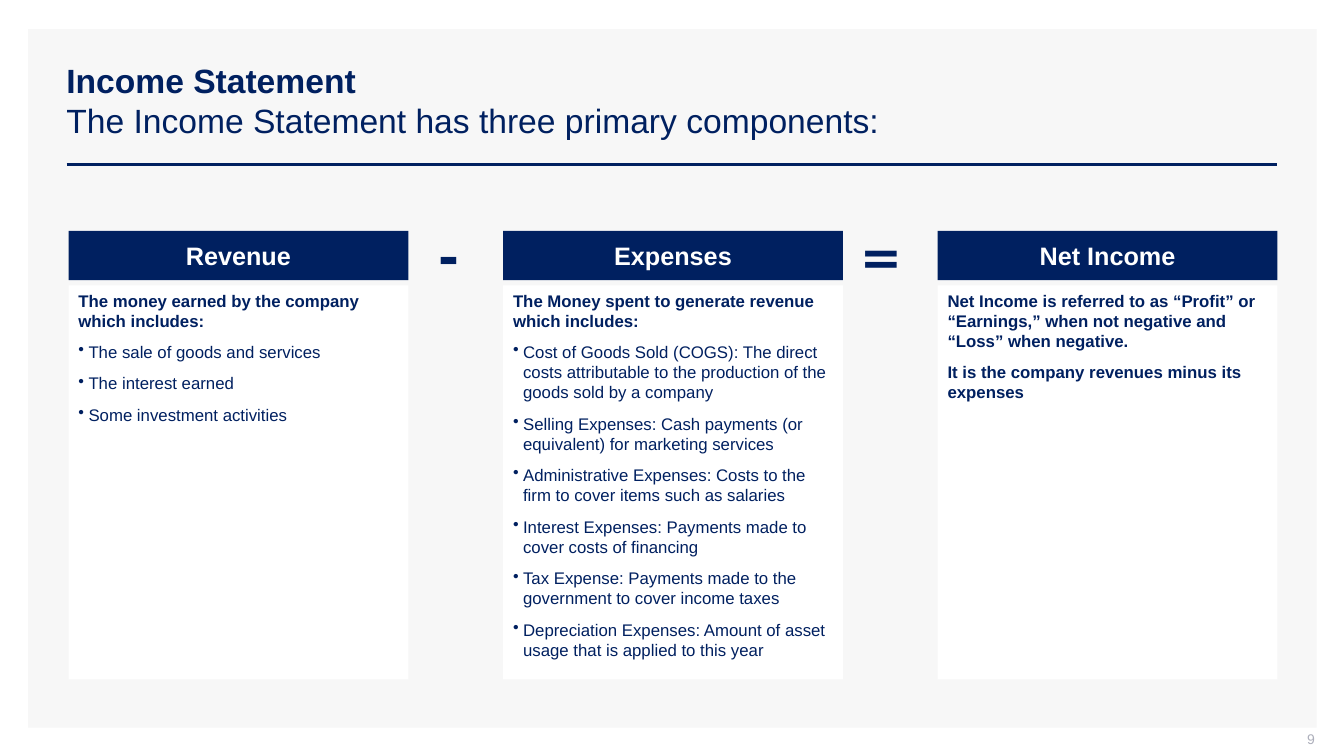
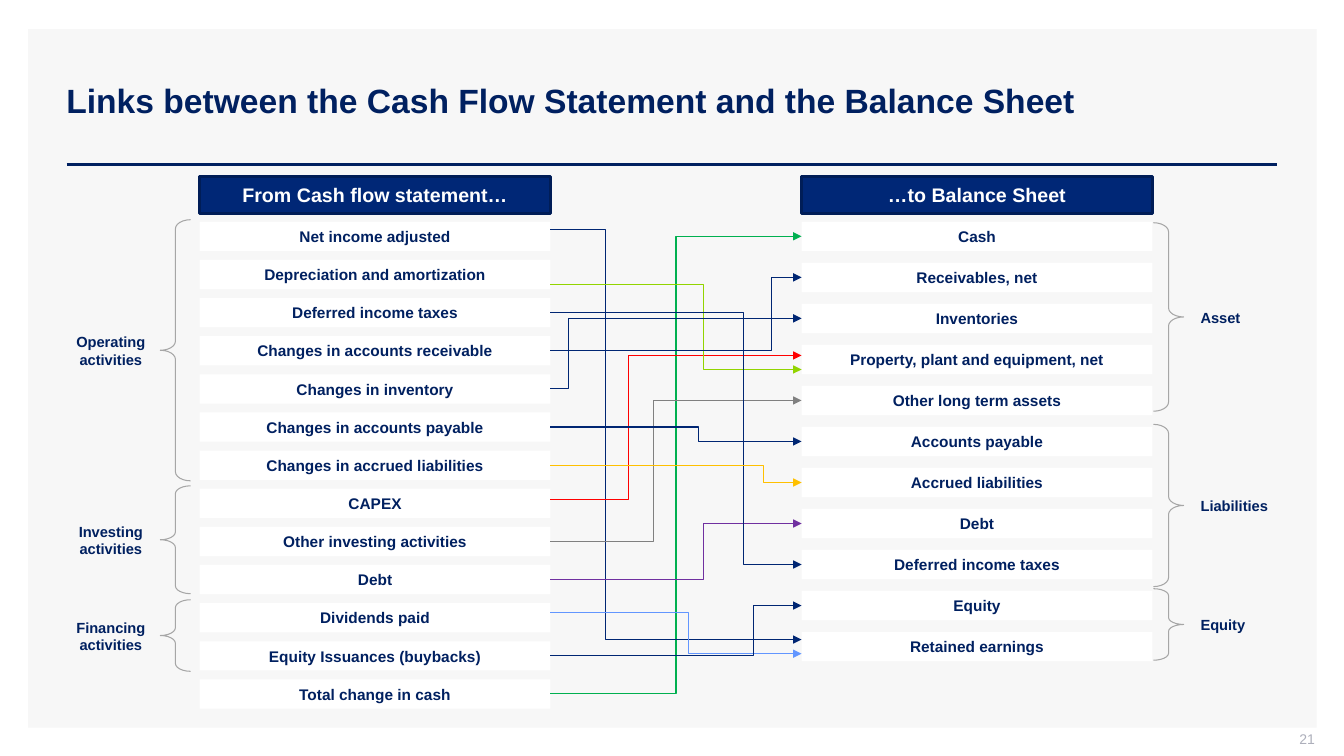
import dataclasses

import lxml.etree
import pptx
import pptx.dml.color
import pptx.enum.shapes
import pptx.enum.text
import pptx.oxml.ns
import pptx.util

RGB = pptx.dml.color.RGBColor
SHAPE = pptx.enum.shapes.MSO_SHAPE
CONNECTOR = pptx.enum.shapes.MSO_CONNECTOR
ALIGN = pptx.enum.text.PP_ALIGN
ANCHOR = pptx.enum.text.MSO_ANCHOR
qn = pptx.oxml.ns.qn

NAVY = RGB(0x00, 0x20, 0x60)
HEADING_BLUE = RGB(0x00, 0x27, 0x76)
HEADING_EDGE = RGB(0x00, 0x1D, 0x57)
LINK_BLUE = RGB(0x00, 0x26, 0x73)
SKY = RGB(0x62, 0x96, 0xFF)
GREEN = RGB(0x00, 0xB0, 0x50)
LIME = RGB(0x92, 0xD4, 0x00)
PURPLE = RGB(0x70, 0x30, 0xA0)
RED = RGB(0xFF, 0x00, 0x00)
AMBER = RGB(0xFF, 0xC0, 0x00)
GREY = RGB(0x80, 0x80, 0x80)
BRACE_GREY = RGB(0xA6, 0xA6, 0xA6)
NUMBER_GREY = RGB(0xAD, 0xAF, 0xBB)
PANEL_GREY = RGB(0xF7, 0xF7, 0xF7)
WHITE = RGB(0xFF, 0xFF, 0xFF)

FONT = "Arial"
OPERATOR_FONT = "DejaVu Sans"


@dataclasses.dataclass
class Box:
    left: float
    top: float
    width: float
    height: float

    @property
    def right(self):
        return self.left + self.width

    @property
    def middle(self):
        return self.top + self.height / 2

    def lengths(self):
        sides = (self.left, self.top, self.width, self.height)
        return [pptx.util.Inches(side) for side in sides]


PANEL = Box(0.28, 0.29, 12.78, 6.93)
TITLE = Box(0.56, 0.4, 12.11, 1.19)
RULE = Box(0.66, 1.63, 12.01, 0)
NUMBER = Box(10.04, 7.25, 3, 0.21)
COMPONENTS = Box(0.68, 2.29, 11.99, 4.45)
CASH_FLOW = Box(1.98, 1.75, 3.48, 5.28)
BALANCE = Box(7.95, 1.75, 3.48, 4.81)

COMPONENT_COLUMNS = [
    ("Revenue", ["The money earned by the company which includes:"],
     ["The sale of goods and services", "The interest earned",
      "Some investment activities"]),
    ("Expenses", ["The Money spent to generate revenue which includes:"],
     ["Cost of Goods Sold (COGS): The direct costs attributable to the "
      "production of the goods sold by a company",
      "Selling Expenses: Cash payments (or equivalent) for marketing services",
      "Administrative Expenses: Costs to the firm to cover items such as salaries",
      "Interest Expenses: Payments made to cover costs of financing",
      "Tax Expense: Payments made to the government to cover income taxes",
      "Depreciation Expenses: Amount of asset usage that is applied to this year"]),
    ("Net Income",
     ["Net Income is referred to as “Profit” or “Earnings,” when not negative "
      "and “Loss” when negative.",
      "It is the company revenues minus its expenses"], []),
]
OPERATORS = [("-", 0.45), ("=", 0.7)]

CASH_FLOW_ROWS = [
    "Net income adjusted", "Depreciation and amortization",
    "Deferred income taxes", "Changes in accounts receivable",
    "Changes in inventory", "Changes in accounts payable",
    "Changes in accrued liabilities", "CAPEX", "Other investing activities",
    "Debt", "Dividends paid", "Equity Issuances (buybacks)",
    "Total change in cash",
]
BALANCE_ROWS = [
    "Cash", "Receivables, net", "Inventories",
    "Property, plant and equipment, net", "Other long term assets",
    "Accounts payable", "Accrued liabilities", "Debt",
    "Deferred income taxes", "Equity", "Retained earnings",
]
ACTIVITY_GROUPS = [
    ("Operating activities", 2.18, 2.59, 0.3),
    ("Investing activities", 4.82, 1.07, 0.26),
    ("Financing activities", 5.95, 0.71, 0.26),
]
BALANCE_GROUPS = [
    ("Asset", 2.21, 1.87, 0.3),
    ("Liabilities", 4.21, 1.61, 0.3),
    ("Equity", 5.84, 0.71, 0.23),
]
# source row, source shift, target row, target shift, bend share, colour
LINKS = [
    (12, 0, 0, 0, 0.5, GREEN),
    (0, -0.07, 10, -0.07, 0.22, LINK_BLUE),
    (10, -0.05, 10, 0.07, 0.55, SKY),
    (11, 0, 9, 0, 0.81, LINK_BLUE),
    (9, 0, 7, 0, 0.61, PURPLE),
    (7, -0.04, 3, -0.04, 0.31, RED),
    (8, 0, 4, 0, 0.41, GREY),
    (1, 0.1, 3, 0.1, 0.61, LIME),
    (2, 0, 8, 0, 0.77, LINK_BLUE),
    (3, 0, 1, 0, 0.88, LINK_BLUE),
    (4, 0, 2, 0, 0.07, LINK_BLUE),
    (5, 0, 5, 0, 0.59, LINK_BLUE),
    (6, 0, 6, 0, 0.85, AMBER),
]


def write(shape, text, size, color=NAVY, bold=True, font=FONT,
          align=ALIGN.LEFT, anchor=ANCHOR.MIDDLE, insets=(0.1, 0.05, 0.1, 0.05)):
    frame = shape.text_frame
    frame.text = text
    frame.word_wrap = True
    frame.vertical_anchor = anchor
    (frame.margin_left, frame.margin_top, frame.margin_right,
     frame.margin_bottom) = [pptx.util.Inches(inset) for inset in insets]
    for paragraph in frame.paragraphs:
        paragraph.alignment = align
        for run in paragraph.runs:
            run.font.name = font
            run.font.size = pptx.util.Pt(size)
            run.font.bold = bold
            run.font.color.rgb = color
    return frame


def add_label(slide, box, text, size, **style):
    return write(slide.shapes.add_textbox(*box.lengths()), text, size, **style)


def add_block(slide, box, fill=None, edge=None, weight=0, kind=SHAPE.RECTANGLE):
    block = slide.shapes.add_shape(kind, *box.lengths())
    block.shadow.inherit = False
    if fill is None:
        block.fill.background()
    else:
        block.fill.solid()
        block.fill.fore_color.rgb = fill
    if edge is None:
        block.line.fill.background()
    else:
        block.line.color.rgb = edge
        block.line.width = pptx.util.Pt(weight)
    return block


def add_line(slide, kind, start, end, color, weight):
    ends = [pptx.util.Inches(length) for length in (*start, *end)]
    line = slide.shapes.add_connector(kind, *ends)
    line.line.color.rgb = color
    line.line.width = pptx.util.Pt(weight)
    lxml.etree.SubElement(line._element.spPr, qn("a:effectLst"))
    return line


def add_link(slide, start, end, bend, color):
    link = add_line(slide, CONNECTOR.ELBOW, start, end, color, 0.75)
    geometry = link._element.spPr.find(qn("a:prstGeom"))
    guides = geometry.find(qn("a:avLst"))
    if guides is None:
        guides = lxml.etree.SubElement(geometry, qn("a:avLst"))
    lxml.etree.SubElement(guides, qn("a:gd"), name="adj1",
                          fmla=f"val {round(bend * 100000)}")
    outline = link.line._get_or_add_ln()
    lxml.etree.SubElement(outline, qn("a:tailEnd"), type="triangle")


def add_bullet(paragraph):
    properties = paragraph._p.get_or_add_pPr()
    indent = pptx.util.Inches(0.1)
    properties.set("marL", str(indent))
    properties.set("indent", str(-indent))
    lxml.etree.SubElement(properties, qn("a:buChar"), char="•")


def start_slide(deck, title, number, subtitle=None):
    slide = deck.slides.add_slide(deck.slide_layouts[6])
    add_block(slide, PANEL, PANEL_GREY)
    add_line(slide, CONNECTOR.STRAIGHT, (RULE.left, RULE.top),
             (RULE.right, RULE.top), NAVY, 2)
    heading = add_label(slide, TITLE, "\n".join(filter(None, (title, subtitle))), 24)
    for paragraph in heading.paragraphs[1:]:
        paragraph.runs[0].font.bold = False
    add_label(slide, NUMBER, number, 10, color=NUMBER_GREY, bold=False,
              align=ALIGN.RIGHT, insets=(0.1, 0, 0, 0.05))
    return slide


def add_component(slide, box, heading, statements, bullets):
    header = Box(box.left, box.top, box.width, 0.49)
    body = Box(box.left, box.top + 0.54, box.width, box.height - 0.54)
    write(add_block(slide, header, NAVY), heading, 18, color=WHITE,
          align=ALIGN.CENTER)
    frame = write(add_block(slide, body, WHITE), "\n".join(statements + bullets),
                  12, anchor=ANCHOR.TOP)
    for index, paragraph in enumerate(frame.paragraphs):
        paragraph.space_before = pptx.util.Pt(4 if index else 0)
        paragraph.space_after = pptx.util.Pt(4)
        if index >= len(statements):
            add_bullet(paragraph)
            paragraph.runs[0].font.bold = False


def add_equation(slide, box):
    width = 3.37
    pitch = (box.width - width) / (len(COMPONENT_COLUMNS) - 1)
    for index, component in enumerate(COMPONENT_COLUMNS):
        column = Box(box.left + index * pitch, box.top, width, box.height)
        add_component(slide, column, *component)
    for index, (sign, sign_width) in enumerate(OPERATORS):
        center = box.left + index * pitch + (width + pitch) / 2
        place = Box(center - sign_width / 2, box.top - 0.11, sign_width, 0.71)
        add_label(slide, place, sign, 36, font=OPERATOR_FONT,
                  anchor=ANCHOR.TOP, insets=(0.05,) * 4)


def add_statement(slide, box, heading, items):
    header = Box(box.left, box.top, box.width, 0.37)
    write(add_block(slide, header, HEADING_BLUE, HEADING_EDGE, 2), heading, 14,
          color=WHITE, align=ALIGN.CENTER)
    first, height = box.top + 0.45, 0.29
    pitch = (box.top + box.height - height - first) / (len(items) - 1)
    rows = [Box(box.left, first + index * pitch, box.width, height)
            for index in range(len(items))]
    for row, item in zip(rows, items):
        write(add_block(slide, row, WHITE), item, 11, align=ALIGN.CENTER)
    return rows


def add_groups(slide, groups, kind, brace_left, label_left, align):
    for name, top, height, curl in groups:
        span = Box(brace_left, top, 0.3, height)
        brace = add_block(slide, span, None, BRACE_GREY, 0.75, kind)
        brace.adjustments[0] = curl
        label = Box(label_left, span.middle - 0.22, 1.2, 0.45)
        add_label(slide, label, name, 10.5, align=align)


def build_income_slide(deck):
    slide = start_slide(deck, "Income Statement", "9",
                        "The Income Statement has three primary components:")
    add_equation(slide, COMPONENTS)


def build_links_slide(deck):
    slide = start_slide(
        deck, "Links between the Cash Flow Statement and the Balance Sheet", "21")
    sources = add_statement(slide, CASH_FLOW, "From Cash flow statement…",
                            CASH_FLOW_ROWS)
    targets = add_statement(slide, BALANCE, "…to Balance Sheet", BALANCE_ROWS)
    add_groups(slide, ACTIVITY_GROUPS, SHAPE.LEFT_BRACE, CASH_FLOW.left - 0.39,
               CASH_FLOW.left - 1.48, ALIGN.CENTER)
    add_groups(slide, BALANCE_GROUPS, SHAPE.RIGHT_BRACE, BALANCE.right + 0.01,
               BALANCE.right + 0.38, ALIGN.LEFT)
    for source, source_shift, target, target_shift, bend, color in LINKS:
        start = (CASH_FLOW.right, sources[source].middle + source_shift)
        end = (BALANCE.left, targets[target].middle + target_shift)
        add_link(slide, start, end, bend, color)


def main():
    deck = pptx.Presentation()
    deck.slide_width = pptx.util.Inches(13.33)
    deck.slide_height = pptx.util.Inches(7.5)
    build_income_slide(deck)
    build_links_slide(deck)
    deck.save("out.pptx")


if __name__ == "__main__":
    main()
